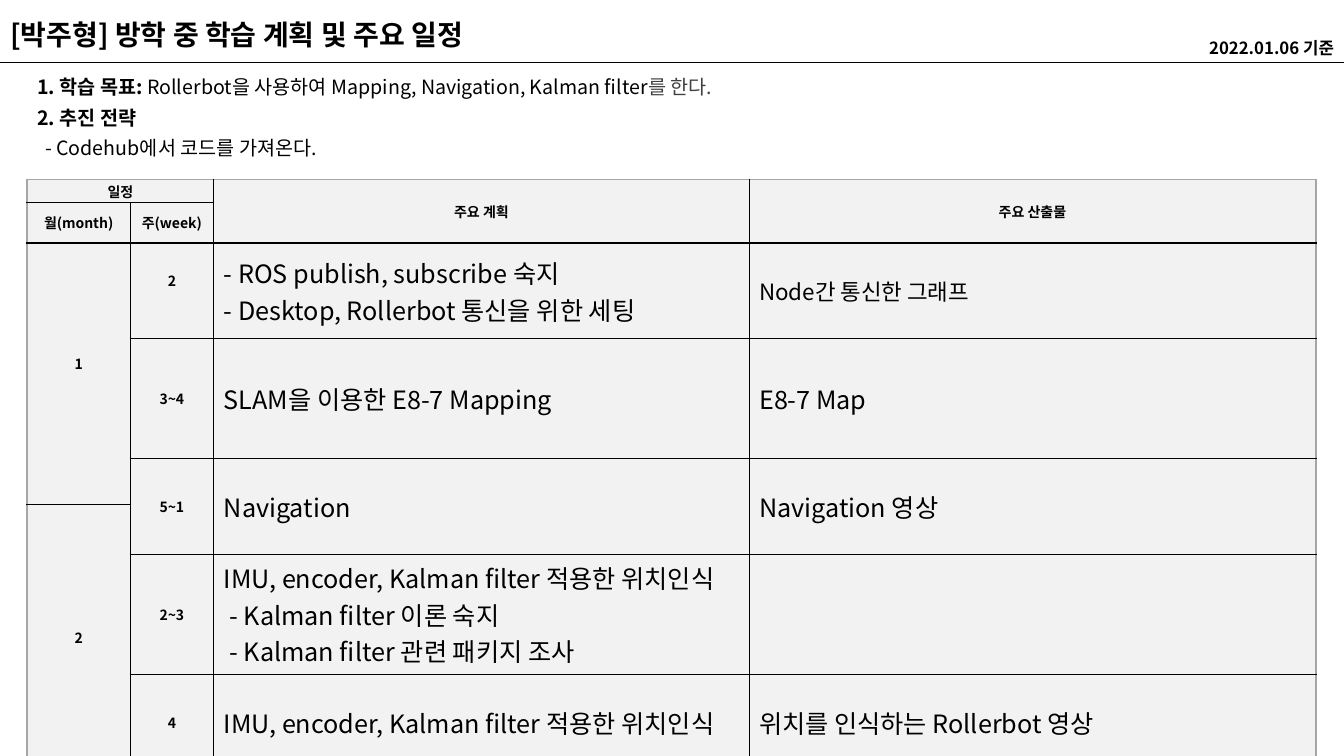
"""Build the vacation study plan slide with its schedule table."""
from dataclasses import dataclass

from lxml.etree import SubElement
from pptx import Presentation
from pptx.dml.color import RGBColor
from pptx.enum.shapes import MSO_CONNECTOR
from pptx.enum.text import MSO_ANCHOR, MSO_AUTO_SIZE, PP_ALIGN
from pptx.oxml.ns import qn
from pptx.util import Inches, Pt


@dataclass(frozen=True)
class Theme:
    font: str = "Noto Sans CJK KR"
    ink: str = "000000"
    soft_ink: str = "404040"
    cell_fill: str = "F2F2F2"
    frame: str = "A6A6A6"
    title: int = 20
    date: int = 12
    body: int = 14
    label: int = 10
    plan: int = 18
    small_plan: int = 16
    thin: float = 0.75
    thick: float = 1.5


@dataclass(frozen=True)
class Span:
    text: str
    bold: bool = False
    color: str = Theme.ink


@dataclass(frozen=True)
class Entry:
    row: int
    column: int
    text: str
    rows: int = 1
    columns: int = 1
    size: int = Theme.plan
    align: PP_ALIGN = PP_ALIGN.LEFT
    lift: float = 0


THEME = Theme()
COLUMN_WIDTHS = [1.02, 0.83, 5.31, 5.62]
ROW_HEIGHTS = [0.23, 0.4, 0.95, 1.19, 0.46, 0.49, 1.19, 0.95]
HEADER_ROWS = 2


def label(row: int, column: int, text: str, rows: int = 1, columns: int = 1, lift: float = 0) -> Entry:
    """Describe a small centred bold cell."""
    return Entry(row, column, text, rows, columns, THEME.label, PP_ALIGN.CENTER, lift)


ENTRIES = [
    label(0, 0, "일정", columns=2),
    label(0, 2, "주요 계획", rows=2),
    label(0, 3, "주요 산출물", rows=2),
    label(1, 0, "월(month)"),
    label(1, 1, "주(week)"),
    label(2, 0, "1", rows=3, lift=0.2),
    label(5, 0, "2", rows=3),
    label(2, 1, "2", lift=0.2),
    label(3, 1, "3~4"),
    label(4, 1, "5~1", rows=2),
    label(6, 1, "2~3"),
    label(7, 1, "4"),
    Entry(2, 2, "- ROS publish, subscribe 숙지\n- Desktop, Rollerbot 통신을 위한 세팅", align=PP_ALIGN.JUSTIFY),
    Entry(2, 3, "Node간 통신한 그래프", size=THEME.small_plan, align=PP_ALIGN.JUSTIFY),
    Entry(3, 2, "SLAM을 이용한 E8-7 Mapping"),
    Entry(3, 3, "E8-7 Map"),
    Entry(4, 2, "Navigation", rows=2),
    Entry(4, 3, "Navigation 영상", rows=2),
    Entry(6, 2, "IMU, encoder, Kalman filter 적용한 위치인식\n - Kalman filter 이론 숙지\n - Kalman filter 관련 패키지 조사"),
    Entry(7, 2, "IMU, encoder, Kalman filter 적용한 위치인식"),
    Entry(7, 3, "위치를 인식하는 Rollerbot 영상"),
]
GOALS = [
    [Span("1. 학습 목표: ", True), Span("Rollerbot을 사용하여 Mapping, Navigation, Kalman filter"),
     Span("를 한다.", color=THEME.soft_ink)],
    [Span("2. 추진 전략", True)],
    [Span("- Codehub에서 코드를 가져온다.")],
]


def format_run(run, size: int, bold: bool, color: str = THEME.ink) -> None:
    """Apply the theme font to a run."""
    run.font.size = Pt(size)
    run.font.bold = bold
    run.font.color.rgb = RGBColor.from_string(color)
    run.font.name = THEME.font
    SubElement(run.font._element, qn("a:ea"), typeface=THEME.font)


def place(shape, left: float, top: float, width: float, height: float) -> None:
    """Position a shape in inches."""
    shape.left, shape.top = Inches(left), Inches(top)
    shape.width, shape.height = Inches(width), Inches(height)


def write_line(shape, text: str, size: int, align: PP_ALIGN) -> None:
    """Write one bold line into a shape."""
    frame = shape.text_frame
    frame.text = text
    frame.word_wrap = True
    frame.auto_size = MSO_AUTO_SIZE.SHAPE_TO_FIT_TEXT
    frame.vertical_anchor = MSO_ANCHOR.TOP
    paragraph = frame.paragraphs[0]
    paragraph.alignment = align
    paragraph.line_spacing = 1.0
    paragraph.space_before = Pt(0)
    format_run(paragraph.runs[0], size, True)


def add_header(slide) -> None:
    """Add the title, the date and the rule below them."""
    place(slide.shapes.title, 0, 0.12, 6.82, 0.44)
    write_line(slide.shapes.title, "[박주형] 방학 중 학습 계획 및 주요 일정", THEME.title, PP_ALIGN.LEFT)
    date = slide.shapes.add_textbox(Inches(11.75), Inches(0.33), Inches(1.58), Inches(0.3))
    write_line(date, "2022.01.06 기준", THEME.date, PP_ALIGN.RIGHT)
    rule = slide.shapes.add_connector(
        MSO_CONNECTOR.STRAIGHT, Inches(0), Inches(0.62), Inches(13.33), Inches(0.62))
    rule.line.color.rgb = RGBColor.from_string(THEME.ink)
    rule.line.width = Pt(0.5)
    SubElement(rule._element.spPr, qn("a:effectLst"))


def add_goals(slide) -> None:
    """Add the goal and strategy lines."""
    frame = slide.shapes.add_textbox(Inches(0.27), Inches(0.62), Inches(13.1), Inches(1)).text_frame
    frame.word_wrap = True
    for index, spans in enumerate(GOALS):
        paragraph = frame.paragraphs[0] if index == 0 else frame.add_paragraph()
        paragraph.line_spacing = Pt(22)
        for span in spans:
            run = paragraph.add_run()
            run.text = span.text
            format_run(run, THEME.body, span.bold, span.color)
    properties = frame.paragraphs[-1]._p.get_or_add_pPr()
    properties.set("marL", str(Inches(0.08)))
    properties.set("indent", "0")


def set_border(cell, side: str, width: float, color: str) -> None:
    """Draw one side of a cell."""
    line = SubElement(cell._tc.get_or_add_tcPr(), qn(f"a:{side}"), w=str(Pt(width)))
    SubElement(SubElement(line, qn("a:solidFill")), qn("a:srgbClr"), val=color)


def format_cell(cell, row: int, column: int) -> None:
    """Set the borders, fill and margins of a cell."""
    frame_sides = {"lnL": column == 0, "lnR": column == len(COLUMN_WIDTHS) - 1,
                   "lnT": row == 0, "lnB": row == len(ROW_HEIGHTS) - 1}
    header_edges = {("lnB", HEADER_ROWS - 1), ("lnT", HEADER_ROWS)}
    for side, is_frame in frame_sides.items():
        is_thick = is_frame or (side, row) in header_edges
        set_border(cell, side, THEME.thick if is_thick else THEME.thin,
                   THEME.frame if is_frame else THEME.ink)
    cell.fill.solid()
    cell.fill.fore_color.rgb = RGBColor.from_string(THEME.cell_fill)
    cell.vertical_anchor = MSO_ANCHOR.MIDDLE
    if row < HEADER_ROWS:
        cell.margin_top = cell.margin_bottom = Inches(0)


def write_entry(table, entry: Entry) -> None:
    """Merge the cells of an entry and write its text."""
    cell = table.cell(entry.row, entry.column)
    if entry.rows * entry.columns > 1:
        cell.merge(table.cell(entry.row + entry.rows - 1, entry.column + entry.columns - 1))
    cell.text_frame.text = entry.text
    if entry.lift:
        cell.margin_bottom = Inches(0.05 + entry.lift)
    for paragraph in cell.text_frame.paragraphs:
        paragraph.alignment = entry.align
        format_run(paragraph.runs[0], entry.size, entry.size == THEME.label)


def add_schedule(slide) -> None:
    """Add the schedule table."""
    table = slide.shapes.add_table(
        len(ROW_HEIGHTS), len(COLUMN_WIDTHS), Inches(0.27), Inches(1.78),
        Inches(sum(COLUMN_WIDTHS)), Inches(sum(ROW_HEIGHTS))).table
    table.first_row = table.horz_banding = False
    for column, width in zip(table.columns, COLUMN_WIDTHS):
        column.width = Inches(width)
    for row_index, height in enumerate(ROW_HEIGHTS):
        table.rows[row_index].height = Inches(height)
        for column_index in range(len(COLUMN_WIDTHS)):
            format_cell(table.cell(row_index, column_index), row_index, column_index)
    for entry in ENTRIES:
        write_entry(table, entry)


def main() -> None:
    """Build and save the presentation."""
    presentation = Presentation()
    presentation.slide_width, presentation.slide_height = Inches(13.33), Inches(7.5)
    slide = presentation.slides.add_slide(presentation.slide_layouts[5])
    add_header(slide)
    add_goals(slide)
    add_schedule(slide)
    presentation.save("out.pptx")


if __name__ == "__main__":
    main()
